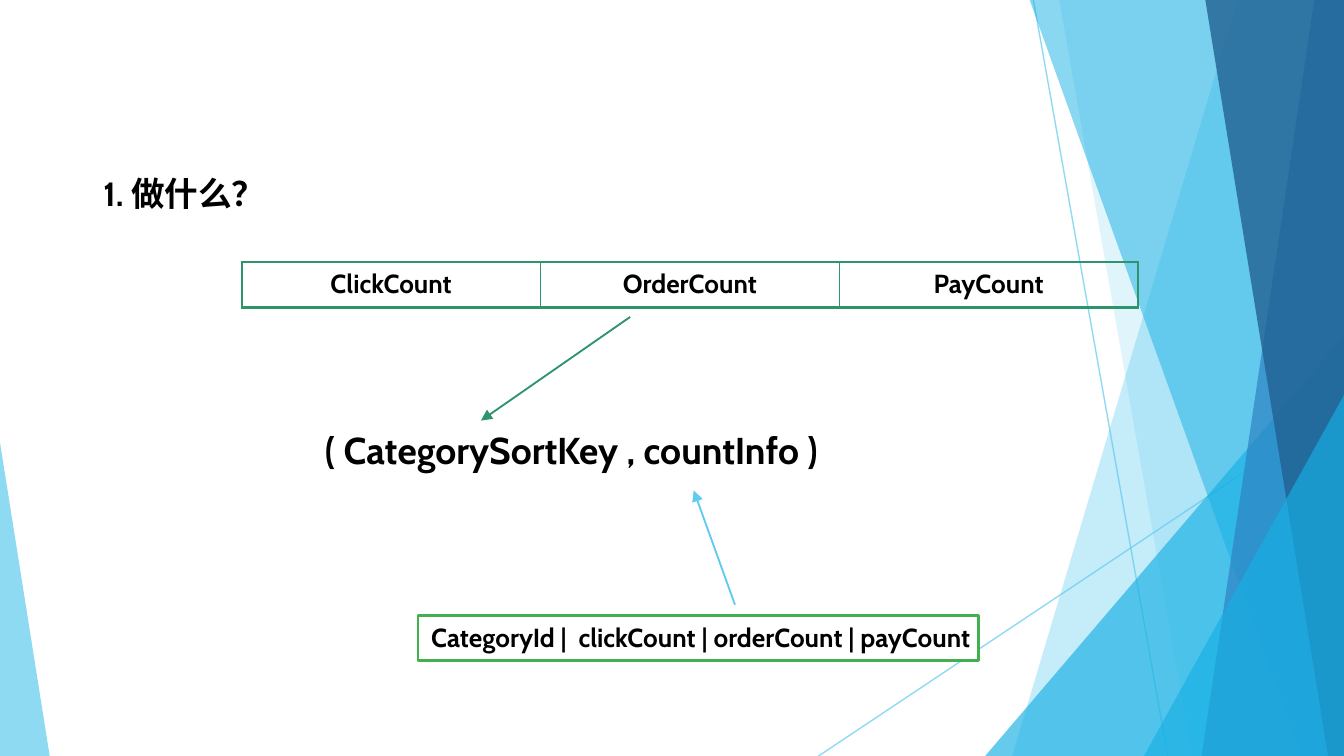
from lxml.etree import SubElement
from pptx import Presentation
from pptx.dml.color import RGBColor
from pptx.enum.shapes import MSO_CONNECTOR as Connector, MSO_SHAPE as Shape
from pptx.enum.text import MSO_ANCHOR as Anchor, MSO_AUTO_SIZE as AutoSize, PP_ALIGN as Align
from pptx.oxml.ns import qn
from pptx.util import Cm, Pt

WIDTH, HEIGHT = 25.4, 14.29
SKY, CYAN, BLUE, NAVY = "5FCBEF", "17B0E4", "2E83C3", "226292"
TEAL, GREEN, WHITE, BLACK = "2E946B", "42B051", "FFFFFF", "000000"


def color(value):
    return RGBColor.from_string(value)


def set_alpha(fill_parent, percent):
    """Make the solid fill below the given element partly transparent."""
    rgb = next(fill_parent.iter(qn("a:srgbClr")))
    SubElement(rgb, qn("a:alpha"), val=str(percent * 1000))


class SlideBuilder:
    font = "Cabin"

    def __init__(self, slide):
        self.slide = slide
        self.shapes = slide.shapes

    def style_text(self, text_frame, text, size, align=Align.LEFT):
        text_frame.text = text
        paragraph = text_frame.paragraphs[0]
        paragraph.alignment = align
        for run in paragraph.runs:
            run.font.name = self.font
            run.font.size = Pt(size)
            run.font.bold = True
            run.font.color.rgb = color(BLACK)

    def title(self, text, left, top, width, height, size):
        shape = self.shapes.title
        shape.left, shape.top, shape.width, shape.height = map(Cm, (left, top, width, height))
        self.style_text(shape.text_frame, text, size)
        shape.text_frame.vertical_anchor = Anchor.TOP
        shape.text_frame.auto_size = AutoSize.NONE

    def text(self, text, left, top, width, height, size):
        box = self.shapes.add_textbox(Cm(left), Cm(top), Cm(width), Cm(height))
        box.text_frame.word_wrap = True
        self.style_text(box.text_frame, text, size)

    def paint(self, shape, fill, alpha=100):
        shape.shadow.inherit = False
        shape.fill.solid()
        shape.fill.fore_color.rgb = color(fill)
        if alpha < 100:
            set_alpha(shape._element.spPr, alpha)
        shape.line.fill.background()

    def panel(self, top_x, bottom_x, fill, alpha):
        """Full-height panel with a slanted left edge, reaching the right slide edge."""
        builder = self.shapes.build_freeform(Cm(top_x), 0)
        corners = [(WIDTH, 0), (WIDTH, HEIGHT), (bottom_x, HEIGHT)]
        builder.add_line_segments([(Cm(x), Cm(y)) for x, y in corners])
        self.paint(builder.convert_to_shape(), fill, alpha)

    def triangle(self, left, top, width, apex, fill, alpha):
        """Triangle standing on the bottom slide edge; apex is 0 for left, 1 for right."""
        shape = self.shapes.add_shape(
            Shape.ISOSCELES_TRIANGLE, Cm(left), Cm(top), Cm(width), Cm(HEIGHT - top))
        shape.adjustments[0] = apex
        self.paint(shape, fill, alpha)

    def frame(self, left, top, width, height, line):
        shape = self.shapes.add_shape(
            Shape.RECTANGLE, Cm(left), Cm(top), Cm(width), Cm(height))
        self.paint(shape, WHITE)
        shape.line.color.rgb = color(line)
        shape.line.width = Pt(1.5)

    def line(self, start, end, stroke, width, alpha=100, arrow=False):
        connector = self.shapes.add_connector(
            Connector.STRAIGHT, *map(Cm, (*start, *end)))
        connector.line.color.rgb = color(stroke)
        connector.line.width = Pt(width)
        properties = connector._element.spPr
        if alpha < 100:
            set_alpha(properties, alpha)
        if arrow:
            SubElement(connector.line._get_or_add_ln(), qn("a:tailEnd"), type="triangle")
        SubElement(properties, qn("a:effectLst"))

    def table_row(self, labels, left, top, width, height, size, border):
        frame = self.shapes.add_table(
            1, len(labels), Cm(left), Cm(top), Cm(width), Cm(height))
        table = frame.table
        table.first_row = table.horz_banding = False
        for cell, label in zip(table.iter_cells(), labels):
            self.style_text(cell.text_frame, label, size, Align.CENTER)
            cell.vertical_anchor = Anchor.MIDDLE
            self.cell_borders(cell, border)
            cell.fill.background()

    def cell_borders(self, cell, stroke):
        properties = cell._tc.get_or_add_tcPr()
        for side, width in (("L", 1), ("R", 1), ("T", 1), ("B", 2)):
            edge = SubElement(properties, qn(f"a:ln{side}"), w=str(Pt(width)))
            SubElement(SubElement(edge, qn("a:solidFill")), qn("a:srgbClr"), val=stroke)


def draw_background(builder):
    builder.line((19.53, 0), (22.07, HEIGHT), SKY, 0.75, alpha=70)
    builder.line((WIDTH, 7.67), (15.47, HEIGHT), SKY, 0.75, alpha=70)
    builder.panel(23.39, 19.13, SKY, 36)
    builder.panel(20.02, 22.53, SKY, 20)
    builder.triangle(18.62, 6.35, 6.78, 1, CYAN, 66)
    builder.panel(19.46, 24.59, CYAN, 50)
    builder.panel(24.84, 22.71, BLUE, 70)
    builder.panel(22.78, 25.1, NAVY, 80)
    builder.triangle(21.62, 7.47, 3.78, 1, CYAN, 66)
    builder.triangle(0, 8.36, 0.94, 0, SKY, 70)


def draw_content(builder):
    builder.title("1. 做什么？", 1.7, 3.15, 3.61, 1.02, 18)
    builder.frame(7.9, 11.63, 10.59, 0.86, GREEN)
    builder.table_row(["ClickCount", "OrderCount", "PayCount"],
                      4.57, 4.95, 16.94, 0.84, 14, TEAL)
    builder.text("( CategorySortKey , countInfo )", 5.89, 7.95, 10.39, 1.12, 20)
    builder.text("CategoryId |  clickCount | orderCount | payCount",
                 7.9, 11.63, 13.59, 0.86, 14)
    builder.line((13.89, 11.43), (13.11, 9.27), SKY, 1, arrow=True)
    builder.line((11.91, 5.99), (9.09, 7.95), TEAL, 1, arrow=True)


def main():
    presentation = Presentation()
    presentation.slide_width, presentation.slide_height = Cm(WIDTH), Cm(HEIGHT)
    title_only = presentation.slide_layouts[5]
    builder = SlideBuilder(presentation.slides.add_slide(title_only))
    draw_background(builder)
    draw_content(builder)
    presentation.save("out.pptx")


if __name__ == "__main__":
    main()
